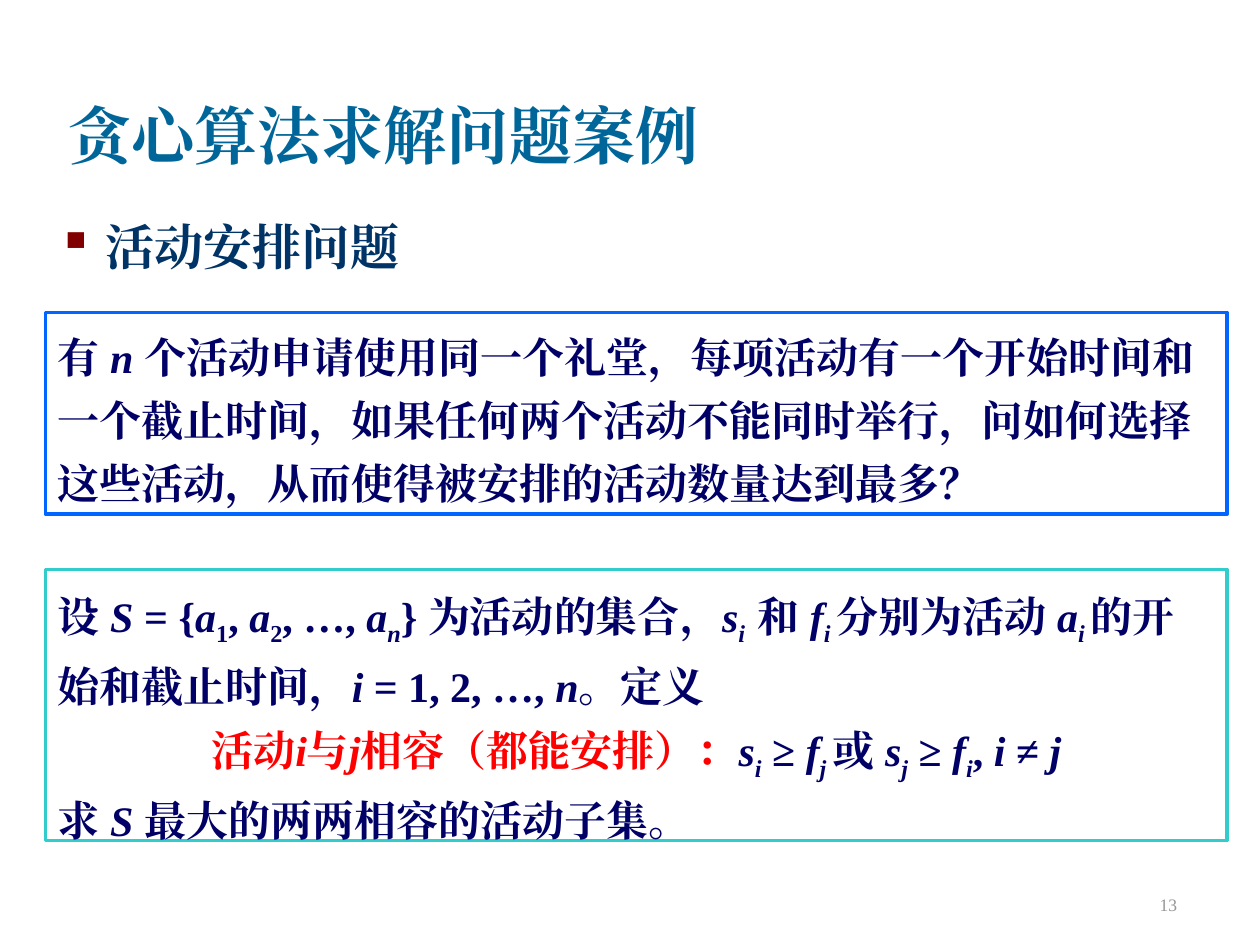
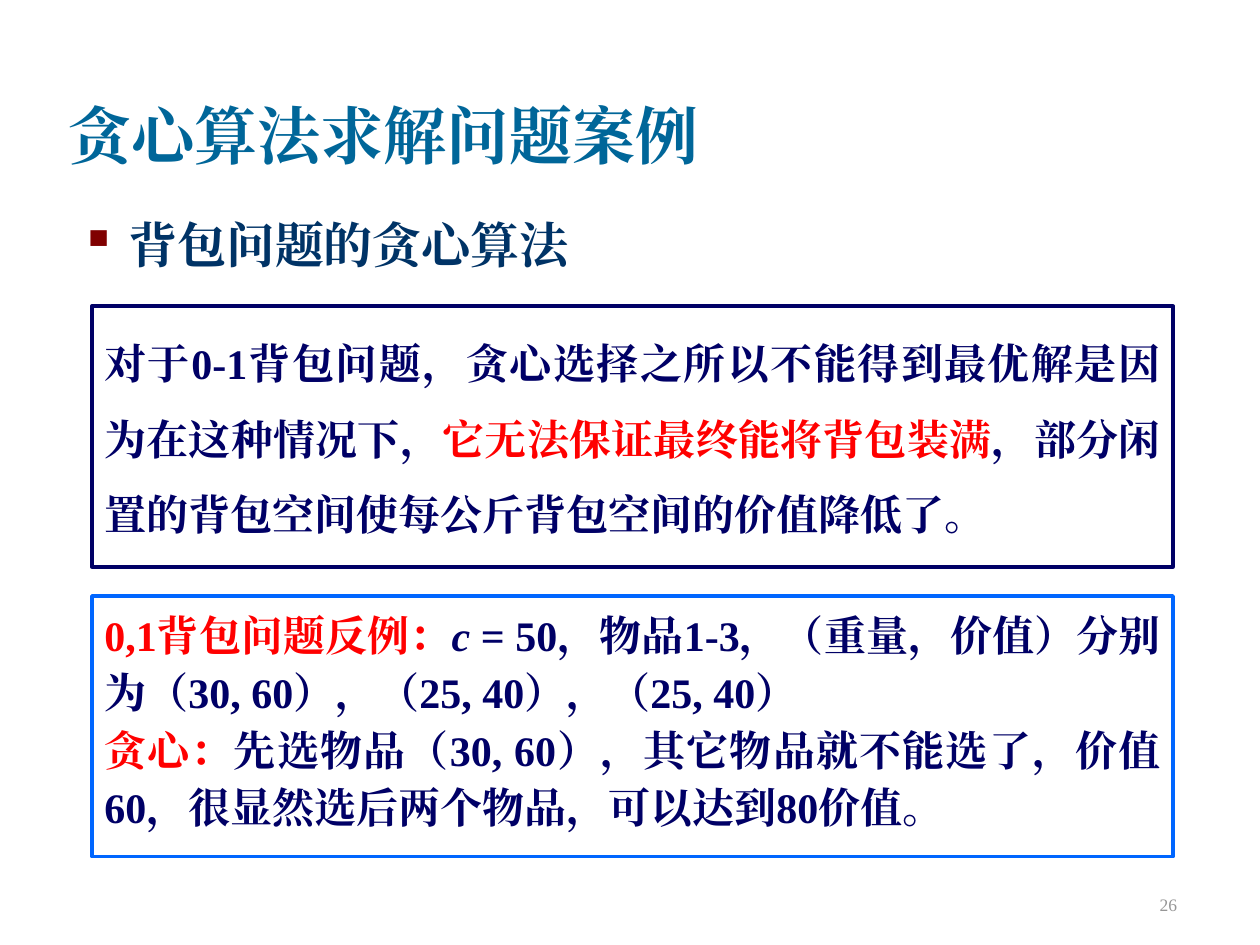
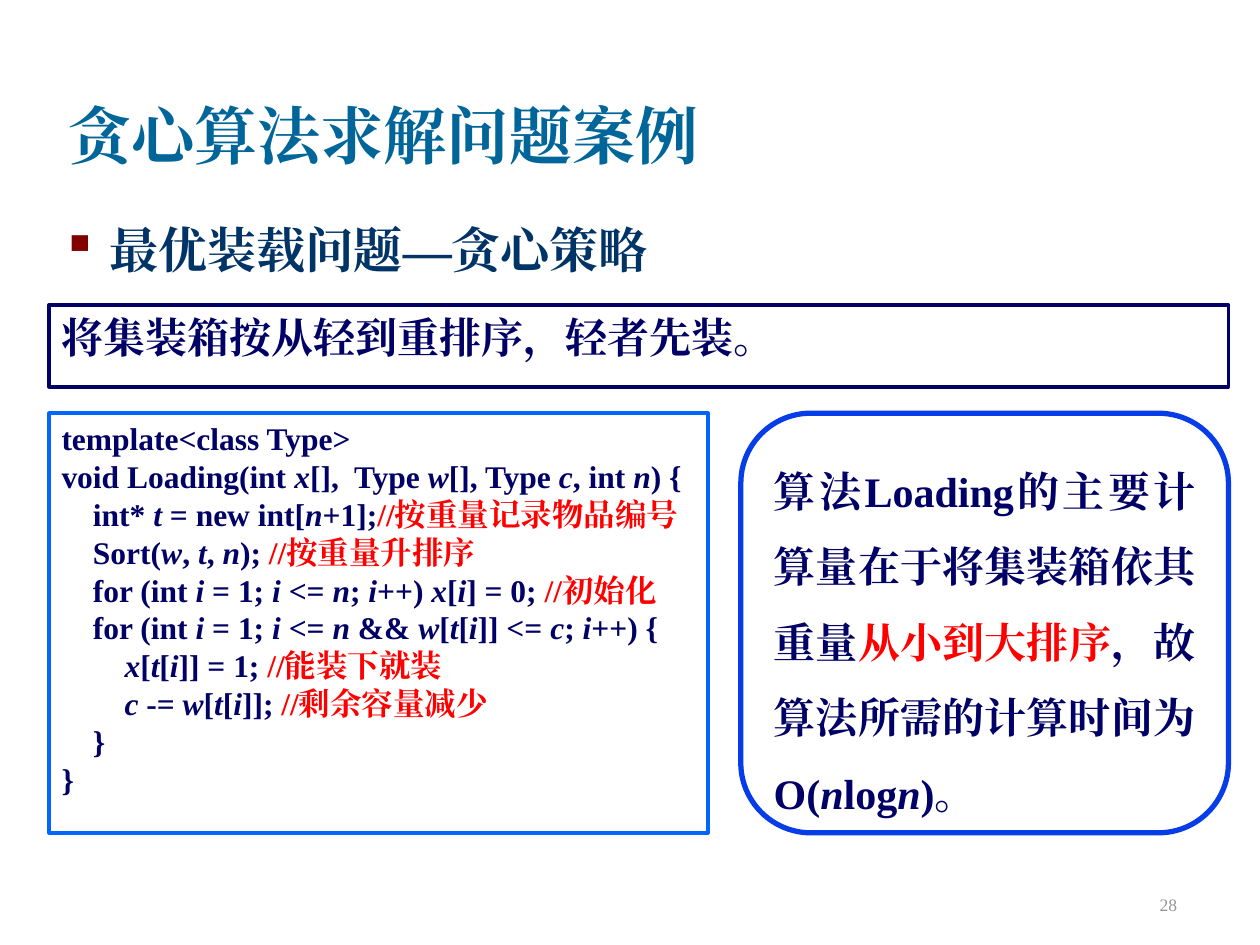
"""Build three slides on greedy algorithm cases."""
import dataclasses

import lxml.etree
import pptx
import pptx.dml.color
import pptx.enum.lang
import pptx.enum.shapes
import pptx.enum.text
import pptx.oxml.ns
import pptx.util

Inches = pptx.util.Inches
Pt = pptx.util.Pt
Align = pptx.enum.text.PP_ALIGN
Anchor = pptx.enum.text.MSO_ANCHOR
Shape = pptx.enum.shapes.MSO_SHAPE


@dataclasses.dataclass(frozen=True)
class Theme:
    """Colours, face and type sizes of the deck."""
    face: str = "Times New Roman"
    title: str = "006699"
    topic: str = "003366"
    bullet: str = "800000"
    ink: str = "000066"
    alert: str = "FF0000"
    paper: str = "FFFFFF"
    blue: str = "0066FF"
    teal: str = "33CCCC"
    royal: str = "063DE8"
    grey: str = "969696"
    head: int = 36
    sub: int = 28
    body: int = 24
    code: int = 18
    note: int = 10


THEME = Theme()
HEAD = "贪心算法求解问题案例"
TITLE_BOX = (0.44, 0.17, 8.5, 1.25)
PAGE_BOX = (7.36, 6.81, 2.08, 0.5)
MARKS = {"`": "slant", "~": "low", "|": "red"}

HALL = """有 `n `个活动申请使用同一个礼堂，每项活动有一个开始时间和一个截止时间，如果任何两个活动不能同时举行，问如何选择这些活动，从而使得被安排的活动数量达到最多？"""
MODEL = (
    "设 `S `= {`a`~1~, `a`~2~, …, `a~n~`} 为活动的集合，`s~i  ~`和 "
    "`f~i ~`分别为活动 `a~i ~`的开始和截止时间，`i` = 1, 2, …, `n`。定义",
    "|活动`i`与`j`相容（都能安排）：|`s~i~` ≥ `f~j ~`或 `s~j~` ≥ `f~i~`, `i` ≠ `j`",
    "求 `S `最大的两两相容的活动子集。",
)
REASON = """对于0-1背包问题，贪心选择之所以不能得到最优解是因为在这种情况下，|它无法保证最终能将背包装满|，部分闲置的背包空间使每公斤背包空间的价值降低了。"""
COUNTER = (
    "|0,1背包问题反例：|`c` = 50，物品1-3，（重量，价值）分别为（30, 60），（25, 40），（25, 40）",
    "|贪心：|先选物品（30, 60），其它物品就不能选了，价值60，很显然选后两个物品，可以达到80价值。",
)
CODE = """template<class Type>
void Loading(int `x`[],  Type `w`[], Type `c`, int `n`) {
    int* `t` = new int[`n`+1];|//按重量记录物品编号|
    Sort(`w`, `t`, `n`); |//按重量升排序|
    for (int `i` = 1; `i` <= `n`; `i`++) `x`[`i`] = 0; |//初始化|
    for (int `i` = 1; `i` <= `n` && `w`[`t`[`i`]] <= `c`; `i`++) {
        `x`[`t`[`i`]] = 1; |//能装下就装|
        `c` -= `w`[`t`[`i`]]; |//剩余容量减少|
    }
}"""
COST = """算法Loading的主要计算量在于将集装箱依其重量|从小到大排序|，故算法所需的计算时间为 O(`n`log`n`)。"""


def rgb(code):
    """Turn a hex code into a colour."""
    return pptx.dml.color.RGBColor.from_string(code)


def apply(item, form):
    """Set each attribute in a dict of format values."""
    for name, value in form.items():
        setattr(item, name, value)


def place(item, box):
    """Move an item to a box given in inches."""
    apply(item, dict(zip(("left", "top", "width", "height"), map(Inches, box))))


def split(text):
    """Cut marked text into pieces with the marks that are on."""
    live, part = set(), ""
    for char in text:
        if char not in MARKS:
            part += char
            continue
        if part:
            yield part, frozenset(live)
        live ^= {MARKS[char]}
        part = ""
    if part:
        yield part, frozenset(live)


def write(para, text, size, color, bold=True):
    """Add marked text to a paragraph."""
    for part, live in split(text):
        run = para.add_run()
        run.text = part
        apply(run.font, {
            "name": THEME.face, "size": Pt(size), "bold": bold,
            "italic": "slant" in live,
            "language_id": pptx.enum.lang.MSO_LANGUAGE_ID.SIMPLIFIED_CHINESE,
        })
        run.font.color.rgb = rgb(THEME.alert if "red" in live else color)
        props = run.font._element
        east = lxml.etree.Element(pptx.oxml.ns.qn("a:ea"), typeface=THEME.face)
        props.find(pptx.oxml.ns.qn("a:latin")).addnext(east)
        if "low" in live:
            props.set("baseline", "-25000")


def frame(item, anchor=Anchor.TOP):
    """Give an item a wrapped text frame with even insets."""
    area = item.text_frame
    apply(area, {
        "word_wrap": True, "auto_size": pptx.enum.text.MSO_AUTO_SIZE.NONE,
        "vertical_anchor": anchor,
        "margin_left": Inches(0.1), "margin_right": Inches(0.1),
        "margin_top": Inches(0.05), "margin_bottom": Inches(0.05),
    })
    return area


def title(slide, box):
    """Place the slide title."""
    item = slide.shapes.title
    place(item, box)
    para = frame(item, Anchor.BOTTOM).paragraphs[0]
    para.alignment = Align.LEFT
    write(para, HEAD, THEME.head, THEME.title)


def page(slide, box, number):
    """Place the page number."""
    item = slide.shapes.add_textbox(*map(Inches, box))
    para = frame(item, Anchor.BOTTOM).paragraphs[0]
    para.alignment = Align.RIGHT
    write(para, str(number), THEME.note, THEME.grey, bold=False)


def topic(slide, box, text):
    """Place the bulleted topic line."""
    item = slide.shapes.add_textbox(*map(Inches, box))
    para = frame(item).paragraphs[0]
    props = para._p.get_or_add_pPr()
    indent = Inches(0.38)
    props.set("marL", str(indent))
    props.set("indent", str(-indent))
    tint = lxml.etree.SubElement(props, pptx.oxml.ns.qn("a:buClr"))
    lxml.etree.SubElement(tint, pptx.oxml.ns.qn("a:srgbClr"), val=THEME.bullet)
    lxml.etree.SubElement(props, pptx.oxml.ns.qn("a:buChar"), char="▪")
    write(para, text, THEME.sub, THEME.topic)


def panel(slide, box, lines, edge, kind=Shape.RECTANGLE, width=2,
          size=THEME.body, aligns=(Align.LEFT,), space=1.0):
    """Place an outlined box of text, cycling through the alignments."""
    item = slide.shapes.add_shape(kind, *map(Inches, box))
    item.shadow.inherit = False
    item.fill.solid()
    item.fill.fore_color.rgb = rgb(THEME.paper)
    item.line.color.rgb = rgb(edge)
    item.line.width = Pt(width)
    area = frame(item)
    for index, text in enumerate(lines):
        para = area.add_paragraph() if index else area.paragraphs[0]
        apply(para, {"alignment": aligns[index % len(aligns)], "line_spacing": space})
        write(para, text, size, THEME.ink)


def start(deck, number, text, box):
    """Add a slide with its title, topic and page number."""
    slide = deck.slides.add_slide(deck.slide_layouts.get_by_name("Title Only"))
    title(slide, TITLE_BOX)
    topic(slide, box, text)
    page(slide, PAGE_BOX, number)
    return slide


def events(deck, box):
    """Build the activity selection slide."""
    left, top, width, _ = box
    slide = start(deck, 13, "活动安排问题", (left, top, 8.94, 0.7))
    panel(slide, (left, top + 0.81, width, 1.6), [HALL], THEME.blue, space=1.25)
    panel(slide, (left, top + 2.85, width, 2.15), MODEL, THEME.teal, space=1.25,
          aligns=(Align.LEFT, Align.CENTER))


def sack(deck, box):
    """Build the knapsack slide."""
    left, top, width, _ = box
    slide = start(deck, 26, "背包问题的贪心算法", (left - 0.19, top, 8.94, 0.7))
    rows = (([REASON], THEME.ink, 1.5), (COUNTER, THEME.blue, 1.14))
    for index, (lines, edge, space) in enumerate(rows):
        panel(slide, (left, top + 0.78 + index * 2.3, width, 2.07), lines, edge,
              aligns=(Align.JUSTIFY,), space=space)


def cargo(deck, box):
    """Build the optimal loading slide."""
    left, top, width, _ = box
    slide = start(deck, 28, "最优装载问题—贪心策略", (left, top, 8.94, 0.7))
    panel(slide, (left, top + 0.73, width, 0.65),
          ["将集装箱按从轻到重排序，轻者先装。"], THEME.ink)
    panel(slide, (left, top + 1.59, 5.23, 3.33), CODE.split("\n"), THEME.blue,
          size=THEME.code)
    panel(slide, (left + width - 3.87, top + 1.59, 3.87, 3.33), [COST], THEME.royal,
          kind=Shape.ROUNDED_RECTANGLE, width=3, aligns=(Align.JUSTIFY,), space=1.5)


def main():
    """Build and save the deck."""
    deck = pptx.Presentation()
    apply(deck, {"slide_width": Inches(10), "slide_height": Inches(7.5)})
    events(deck, (0.36, 1.67, 9.38, 5))
    sack(deck, (0.73, 1.65, 8.58, 5.15))
    cargo(deck, (0.39, 1.69, 9.36, 4.92))
    deck.save("out.pptx")


if __name__ == "__main__":
    main()
